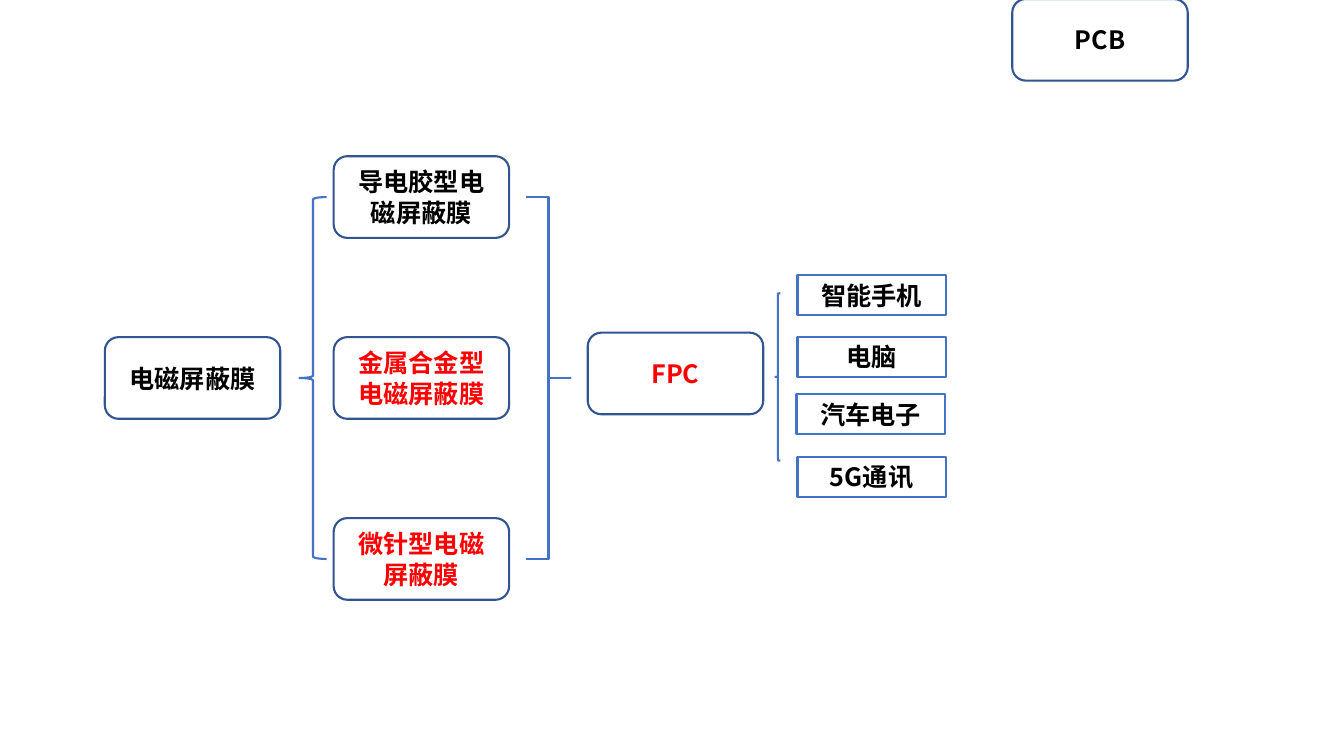
from dataclasses import dataclass

from lxml.etree import SubElement
from pptx import Presentation
from pptx.dml.color import RGBColor
from pptx.enum.shapes import MSO_SHAPE as Shape
from pptx.enum.text import MSO_ANCHOR as Anchor, MSO_AUTO_SIZE as AutoSize, PP_ALIGN as Align
from pptx.oxml.ns import qn
from pptx.util import Inches, Pt


@dataclass(frozen=True)
class Theme:
    font: str = "Noto Sans CJK SC"
    size: int = 18
    text: str = "000000"
    accent: str = "FF0000"
    node_line: str = "325491"
    line: str = "4472C4"
    line_width: float = 1.5


T = Theme()

# Content: (text, highlighted)
ROOT = ("电磁屏蔽膜", False)
FILM_TYPES = [
    ("导电胶型电磁屏蔽膜", False),
    ("金属合金型电磁屏蔽膜", True),
    ("微针型电磁屏蔽膜", True),
]
FPC = ("FPC", True)
PCB = ("PCB", False)
# (text, left, top)
APPLICATIONS = [
    ("智能手机", 7.91, 2.73),
    ("电脑", 7.91, 3.34),
    ("汽车电子", 7.9, 3.91),
    ("5G通讯", 7.91, 4.53),
]

# Layout in inches
SLIDE_W, SLIDE_H = 13.33, 7.5
NODE_W, NODE_H = 1.74, 0.81
APP_W, APP_H = 1.47, 0.4
ROOT_X, TYPE_X, FPC_X, PCB_X = 1.04, 3.31, 5.83, 10.04
FIRST_Y, LAST_Y = 1.55, 5.14
PITCH = (LAST_Y - FIRST_Y) / (len(FILM_TYPES) - 1)
MIDDLE_Y = FIRST_Y + PITCH
BRACE_Y, BRACE_H = FIRST_Y + NODE_H / 2, LAST_Y - FIRST_Y


def add_outline(slide, kind, box, color):
    """Add an unfilled, shadowless shape; box is left, top, width, height."""
    sp = slide.shapes.add_shape(kind, *map(Inches, box))
    sp.shadow.inherit = False
    sp.fill.background()
    sp.line.color.rgb = RGBColor.from_string(color)
    sp.line.width = Pt(T.line_width)
    return sp


def write(sp, text, color, **frame):
    tf = sp.text_frame
    for name, value in {"word_wrap": True, **frame}.items():
        setattr(tf, name, value)
    p = tf.paragraphs[0]
    p.alignment = Align.CENTER
    r = p.add_run()
    r.text = text
    for name, value in {"size": Pt(T.size), "bold": True, "name": T.font}.items():
        setattr(r.font, name, value)
    r.font.color.rgb = RGBColor.from_string(color)
    SubElement(r._r.get_or_add_rPr(), qn("a:ea"), typeface=T.font)


def add_node(slide, node, x, y):
    text, highlighted = node
    sp = add_outline(slide, Shape.ROUNDED_RECTANGLE, (x, y, NODE_W, NODE_H), T.node_line)
    write(sp, text, T.accent if highlighted else T.text, vertical_anchor=Anchor.MIDDLE)


def main():
    prs = Presentation()
    prs.slide_width, prs.slide_height = Inches(SLIDE_W), Inches(SLIDE_H)
    slide = prs.slides.add_slide(prs.slide_layouts[6])

    add_node(slide, ROOT, ROOT_X, MIDDLE_Y)
    add_outline(slide, Shape.LEFT_BRACE, (2.97, BRACE_Y, 0.27, BRACE_H), T.line)
    for i, film in enumerate(FILM_TYPES):
        add_node(slide, film, TYPE_X, FIRST_Y + i * PITCH)

    add_node(slide, FPC, FPC_X, 3.3)
    square_brace = add_outline(slide, Shape.RIGHT_BRACE, (5.22, BRACE_Y, 0.44, BRACE_H), T.line)
    square_brace.adjustments[0] = 0
    add_node(slide, PCB, PCB_X, -0.01)

    add_outline(slide, Shape.LEFT_BRACE, (7.69, 2.91, 0.05, 1.66), T.line)
    for text, x, y in APPLICATIONS:
        sp = add_outline(slide, Shape.RECTANGLE, (x, y, APP_W, APP_H), T.line)
        write(sp, text, T.text, vertical_anchor=Anchor.TOP, auto_size=AutoSize.SHAPE_TO_FIT_TEXT)

    prs.save("out.pptx")


if __name__ == "__main__":
    main()
